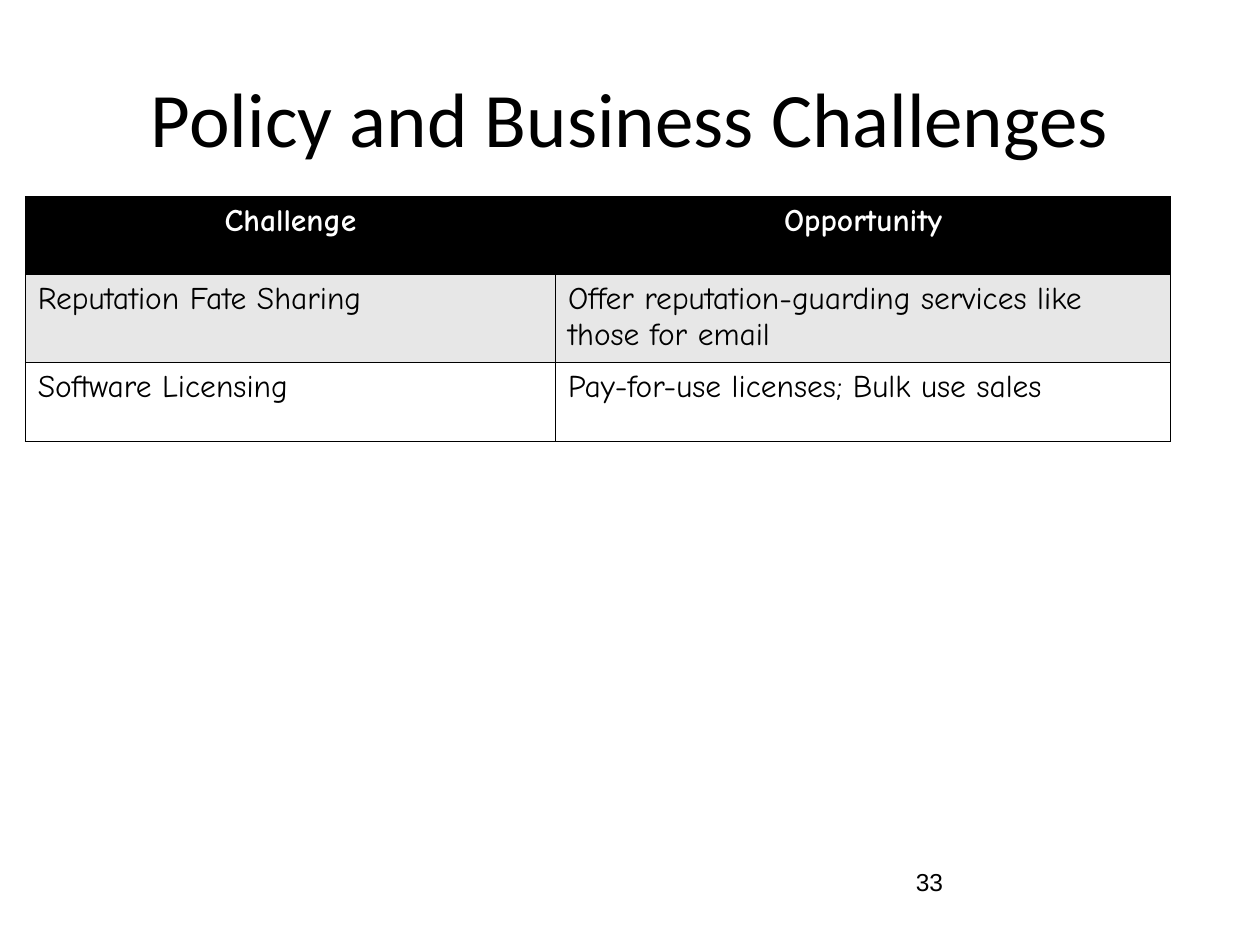
"""Build the slide on policy and business challenges with its table of opportunities."""
from dataclasses import dataclass

import pptx
import pptx.dml.color
import pptx.enum.text
import pptx.oxml
import pptx.oxml.ns
import pptx.util

Inches = pptx.util.Inches
ALIGN = pptx.enum.text.PP_ALIGN
ANCHOR = pptx.enum.text.MSO_ANCHOR

TITLE = "Policy and Business Challenges"
PAGE = "33"
HEADER = ("Challenge", "Opportunity")
CHALLENGES = [
    ("Reputation Fate Sharing", "Offer reputation-guarding services like those for email"),
    ("Software Licensing", "Pay-for-use licenses; Bulk use sales"),
]

SLIDE_SIZE = (10, 7.5)
TITLE_BOX = (0.5, 0.3, 9, 1.25)
TABLE_ORIGIN = (0.2, 1.56)
COLUMN_WIDTHS = (4.21, 4.88)
ROW_HEIGHTS = (0.62, 0.7, 0.62)
PAGE_BOX = (7.17, 6.83, 2.33, 0.52)


@dataclass(frozen=True)
class Theme:
    ink: str = "000000"
    paper: str = "FFFFFF"
    band: str = "E7E7E7"
    title_font: str = "Calibri"
    table_font: str = "Comic Neue"
    page_font: str = "Arial"
    title_size: int = 44
    table_size: int = 18
    page_size: int = 14
    border: float = 0.45


THEME = Theme()


def rgb(value):
    return pptx.dml.color.RGBColor.from_string(value)


def write(frame, text, *, font, size, color=THEME.ink, bold=False,
          align=ALIGN.LEFT, anchor=ANCHOR.TOP):
    frame.word_wrap = True
    frame.vertical_anchor = anchor
    paragraph = frame.paragraphs[0]
    paragraph.alignment = align
    run = paragraph.add_run()
    run.text = text
    run.font.name = font
    run.font.size = pptx.util.Pt(size)
    run.font.bold = bold
    run.font.color.rgb = rgb(color)


def add_borders(cell):
    properties = cell._tc.get_or_add_tcPr()
    for position, side in enumerate(("lnL", "lnR", "lnT", "lnB")):
        properties.insert(position, pptx.oxml.parse_xml(
            f'<a:{side} {pptx.oxml.ns.nsdecls("a")} w="{pptx.util.Pt(THEME.border)}">'
            f'<a:solidFill><a:srgbClr val="{THEME.ink}"/></a:solidFill></a:{side}>'))


def add_challenge_table(slide):
    rows = [HEADER, *CHALLENGES]
    fills = (THEME.ink, THEME.band, THEME.paper)
    size = (sum(COLUMN_WIDTHS), sum(ROW_HEIGHTS))
    table = slide.shapes.add_table(
        len(rows), len(HEADER), *map(Inches, TABLE_ORIGIN + size)).table
    for column, width in zip(table.columns, COLUMN_WIDTHS):
        column.width = Inches(width)
    header_format = dict(color=THEME.paper, bold=True, align=ALIGN.CENTER, anchor=ANCHOR.MIDDLE)
    for row, height, fill, texts in zip(table.rows, ROW_HEIGHTS, fills, rows):
        row.height = Inches(height)
        text_format = header_format if texts is HEADER else {}
        for cell, text in zip(row.cells, texts):
            cell.fill.solid()
            cell.fill.fore_color.rgb = rgb(fill)
            add_borders(cell)
            write(cell.text_frame, text, font=THEME.table_font,
                  size=THEME.table_size, **text_format)


def main():
    deck = pptx.Presentation()
    deck.slide_width, deck.slide_height = map(Inches, SLIDE_SIZE)
    slide = deck.slides.add_slide(deck.slide_layouts[5])
    title = slide.shapes.title
    title.left, title.top, title.width, title.height = map(Inches, TITLE_BOX)
    write(title.text_frame, TITLE, font=THEME.title_font, size=THEME.title_size,
          align=ALIGN.CENTER, anchor=ANCHOR.MIDDLE)
    add_challenge_table(slide)
    page = slide.shapes.add_textbox(*map(Inches, PAGE_BOX))
    write(page.text_frame, PAGE, font=THEME.page_font, size=THEME.page_size)
    deck.save("out.pptx")


if __name__ == "__main__":
    main()
